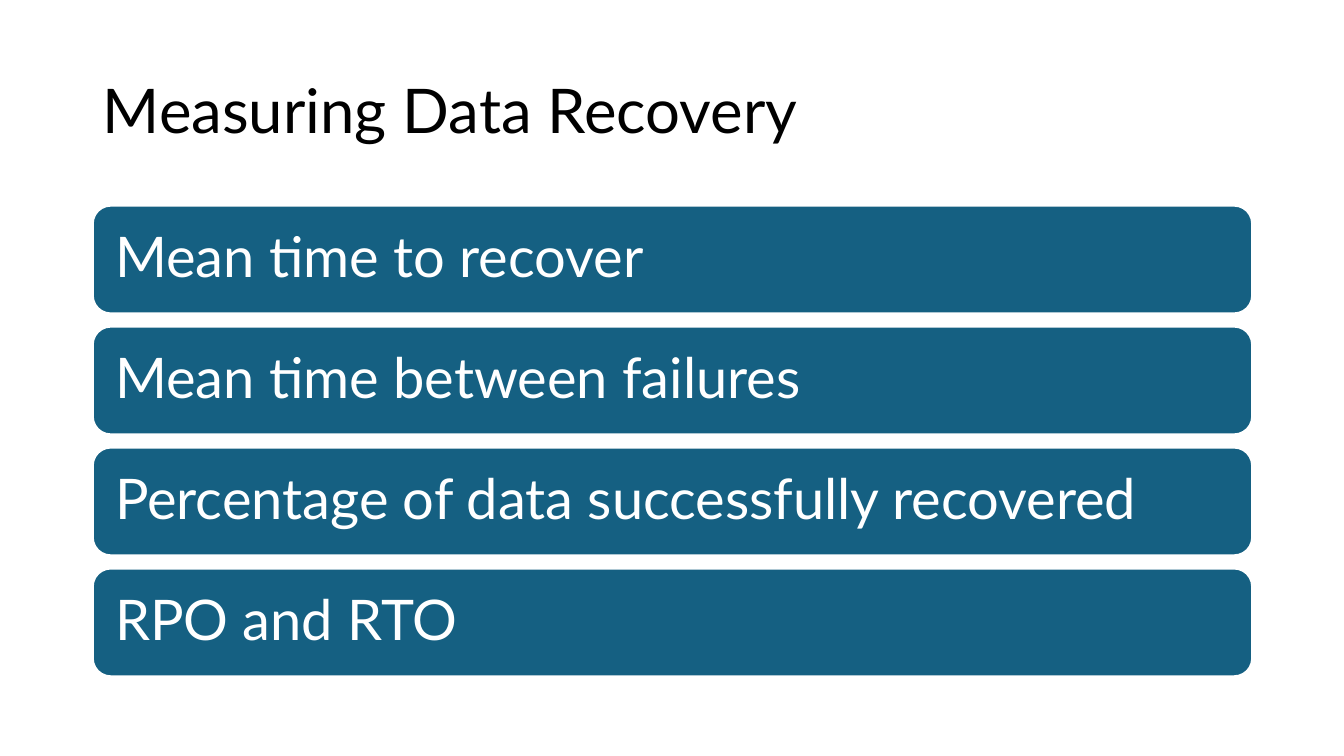
import pptx
import pptx.util
import pptx.dml.color
import pptx.enum.shapes
import pptx.enum.text

Inches = pptx.util.Inches
Pt = pptx.util.Pt
RGBColor = pptx.dml.color.RGBColor

BLUE = RGBColor(0x15, 0x60, 0x82)
WHITE = RGBColor(0xFF, 0xFF, 0xFF)
BLACK = RGBColor(0x00, 0x00, 0x00)
FONT = "Lato"

MEASURES = [
    "Mean time to recover",
    "Mean time between failures",
    "Percentage of data successfully recovered",
    "RPO and RTO",
]


def write_line(frame, text, size, color):
    """Fill a frame with one left-aligned, vertically centred line."""
    frame.text = text
    frame.word_wrap = True
    frame.vertical_anchor = pptx.enum.text.MSO_ANCHOR.MIDDLE
    line = frame.paragraphs[0]
    line.alignment = pptx.enum.text.PP_ALIGN.LEFT
    line.line_spacing = 0.9
    line.font.name = FONT
    line.font.size = Pt(size)
    line.font.color.rgb = color


def add_heading(slide, left, top, width, height):
    heading = slide.shapes.title
    heading.left, heading.top = Inches(left), Inches(top)
    heading.width, heading.height = Inches(width), Inches(height)
    write_line(heading.text_frame, "Measuring Data Recovery", 44, BLACK)


def add_measure_bars(slide, left, top, width, height, gap=0.13):
    """Stack one bar per measure, filling the box with equal gaps."""
    bar_height = (height - gap * (len(MEASURES) - 1)) / len(MEASURES)
    for row, measure in enumerate(MEASURES):
        bar = slide.shapes.add_shape(
            pptx.enum.shapes.MSO_SHAPE.ROUNDED_RECTANGLE,
            Inches(left), Inches(top + row * (bar_height + gap)),
            Inches(width), Inches(bar_height))
        bar.shadow.inherit = False
        bar.fill.solid()
        bar.fill.fore_color.rgb = BLUE
        bar.line.color.rgb = WHITE
        bar.line.width = Pt(1.5)
        frame = bar.text_frame
        frame.margin_left = frame.margin_right = Inches(0.17)
        frame.margin_top = frame.margin_bottom = Inches(0.17)
        write_line(frame, measure, 40, WHITE)


def main():
    deck = pptx.Presentation()
    deck.slide_width, deck.slide_height = Inches(13.33), Inches(7.5)
    title_only = deck.slide_layouts[5]
    slide = deck.slides.add_slide(title_only)

    # Title
    add_heading(slide, 0.92, 0.4, 11.5, 1.45)
    # Recovery measures
    add_measure_bars(slide, 0.92, 2.04, 11.5, 4.67)

    deck.save("out.pptx")


if __name__ == "__main__":
    main()
